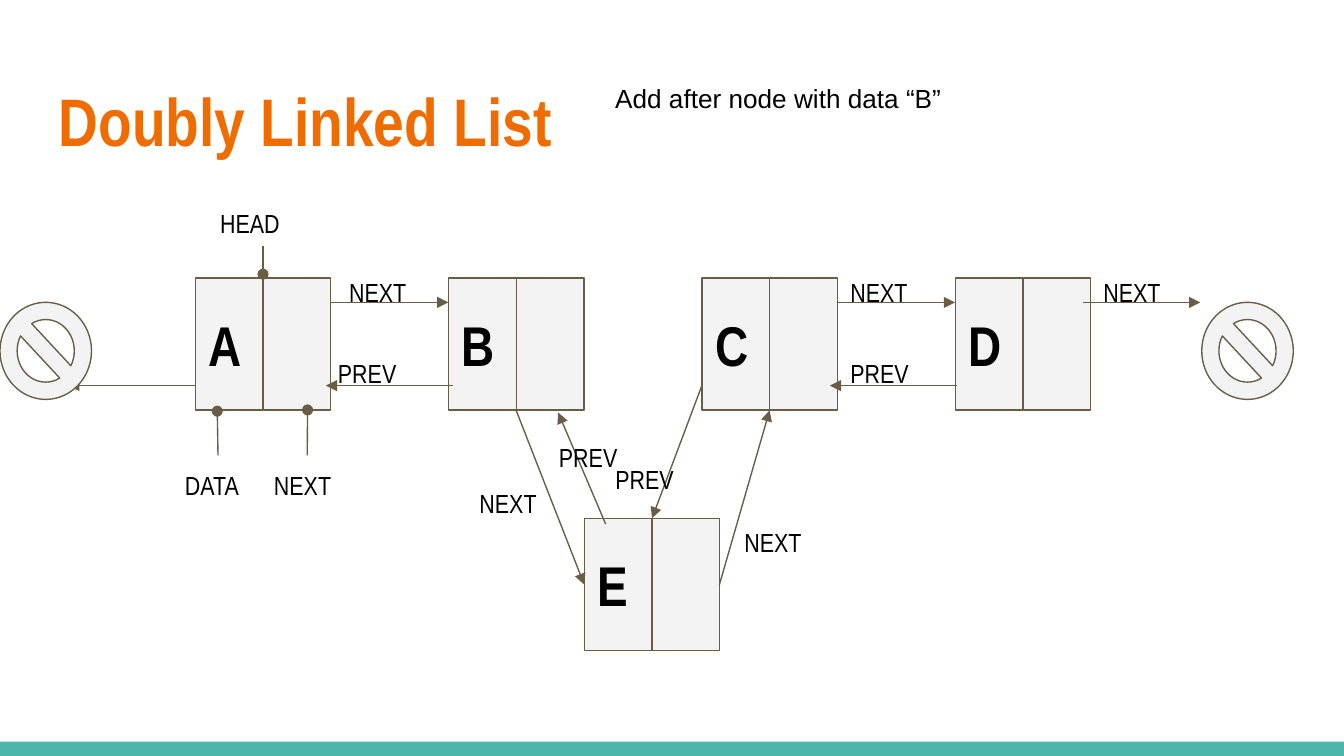
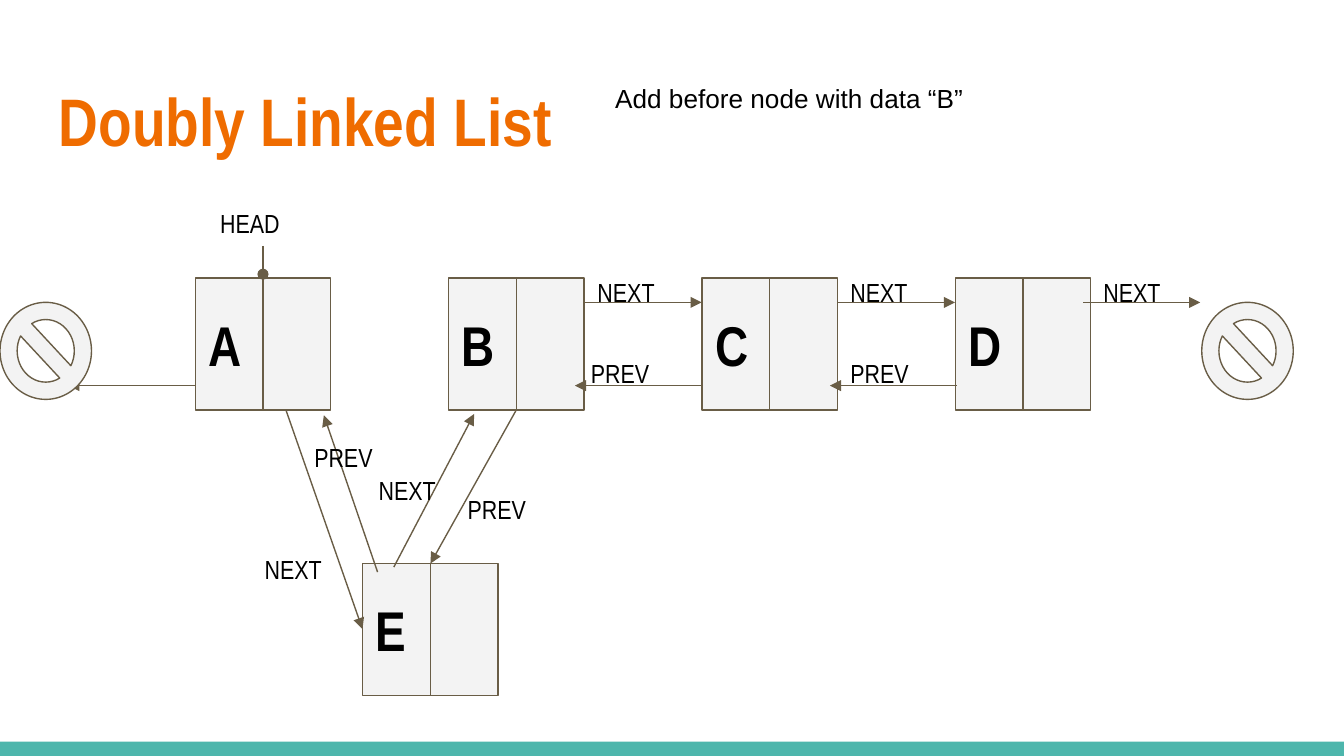
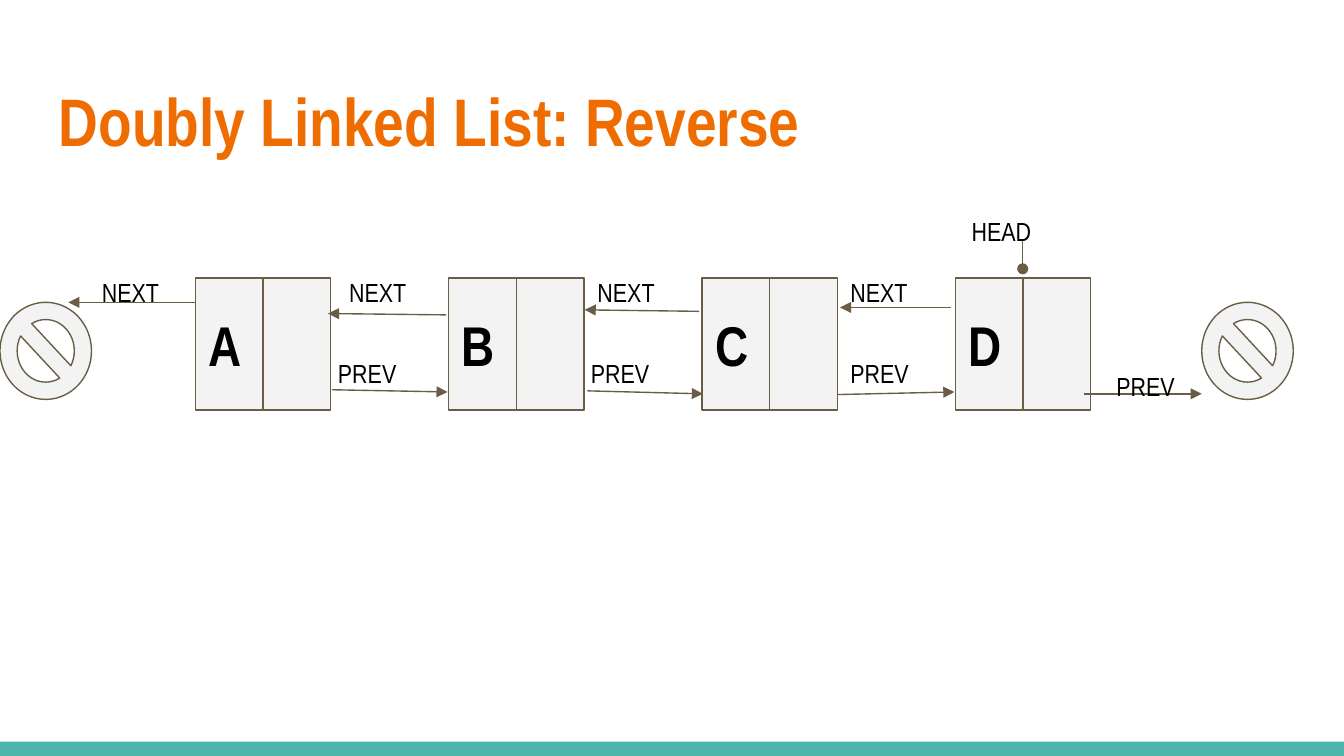
from lxml.etree import SubElement
from pptx import Presentation
from pptx.dml.color import RGBColor as RGB
from pptx.enum.shapes import MSO_CONNECTOR as Conn, MSO_SHAPE as Shape
from pptx.enum.text import MSO_ANCHOR as Anchor, PP_ALIGN as Align
from pptx.oxml.ns import qn
from pptx.util import Pt

# Shared look, lengths in points
HUES = {"title": "EF6C00", "band": "4DB6AC", "node": "F3F3F3",
        "line": "695D46", "text": "000000"}
NARROW, SANS = "Arial Narrow", "Arial"
WIDE, HIGH = 720, 405
LEFT, TOP, STEP = 104.6, 149, 135.7
NODE_W, NODE_H = 72.6, 70.8
NEXT_Y, PREV_Y = 162, 206.6

# Gap i lies to the right of node i: label and arrow starts
NEXT_AT, PREV_AT = [180, 313, 448.5], [174, 309.5, 448.5]
PREV_FROM = [242.6, 376, 512.6]
NEXT_LEN, PREV_LEN = 63, 68

# Parts common to the two insert slides
ENDS = [(580.3, NEXT_Y, 643, NEXT_Y), (104.5, PREV_Y, 36.6, PREV_Y)]
HEAD_PIN = (140.9, 131.8, 140.9, 146.9)
HEAD_TAG, END_TAG = ("HEAD", 110.9, 103.7), ("NEXT", 584, 141)

# Arrows are (x1, y1, x2, y2), tags are (text, x, y)
SLIDES = [
    {"title": "Doubly Linked List", "note": "Add after node with data “B”",
     "extra": (313, 277.8), "linked": [0, 2], "named": [0, 2],
     "arrows": ENDS + [(276.5, 219.8, 313, 313.2), (376, 206.6, 349.3, 277.7),
                       (385.4, 313.2, 412.3, 219.8), (324.5, 280.8, 299, 221)],
     "pins": [HEAD_PIN, (116.8, 244, 116.4, 220.3), (164.6, 244, 164.8, 219.6)],
     "tags": [HEAD_TAG, END_TAG, ("DATA", 92, 244), ("NEXT", 139.7, 244),
              ("NEXT", 249.8, 254), ("PREV", 322.6, 241),
              ("NEXT", 391.7, 275), ("PREV", 292.4, 229)]},
    {"title": "Doubly Linked List", "note": "Add before node with data “B”",
     "extra": (194.2, 301.9), "linked": [1, 2], "named": [1, 2],
     "arrows": ENDS + [(153.3, 220, 194.2, 337), (276.5, 219.8, 230.6, 301.9),
                       (211, 303.8, 254, 221.8), (202.3, 306.5, 173.5, 222.5)],
     "pins": [HEAD_PIN],
     "tags": [HEAD_TAG, END_TAG, ("NEXT", 134.7, 289.5), ("PREV", 243.4, 257),
              ("NEXT", 195.8, 247), ("PREV", 161.3, 229)]},
    {"title": "Doubly Linked List: Reverse", "note": None,
     "extra": None, "linked": [], "named": [0, 1, 2],
     "arrows": [(239, 168.7, 175.7, 168), (374.5, 166.8, 313.2, 166),
                (509.6, 164.7, 450, 164.7), (580.8, 211, 643.8, 211),
                (448.5, 211.4, 511.3, 210), (314.7, 209.4, 376.6, 211),
                (177.8, 208.8, 239.8, 210), (104.5, NEXT_Y, 36.6, NEXT_Y)],
     "pins": [(547.9, 128.2, 547.9, 144)],
     "tags": [("HEAD", 513.4, 108), ("PREV", 591, 191), ("NEXT", 47.5, 141)]},
]


def rgb(name):
    return RGB.from_string(HUES[name])


def write(shape, text, size=14, font=NARROW, hue="text", bold=False,
          anchor=Anchor.TOP):
    frame = shape.text_frame
    frame.word_wrap = True
    frame.vertical_anchor = anchor
    frame.margin_left = frame.margin_right = Pt(7.2)
    frame.margin_top = frame.margin_bottom = Pt(7.2)
    para = frame.paragraphs[0]
    para.alignment = Align.LEFT
    run = para.add_run()
    run.text = text
    run.font.size, run.font.name, run.font.bold = Pt(size), font, bold
    run.font.color.rgb = rgb(hue)


def label(slide, text, x, y, w=69, h=15, **style):
    box = slide.shapes.add_textbox(Pt(x), Pt(y), Pt(w), Pt(h))
    write(box, text, **style)


def block(slide, kind, x, y, w, h, fill="node", line="line"):
    shape = slide.shapes.add_shape(kind, Pt(x), Pt(y), Pt(w), Pt(h))
    shape.shadow.inherit = False
    shape.fill.solid()
    shape.fill.fore_color.rgb = rgb(fill)
    if line:
        shape.line.color.rgb = rgb(line)
        shape.line.width = Pt(0.75)
    else:
        shape.line.fill.background()
    return shape


def link(slide, ends, tip=None):
    wire = slide.shapes.add_connector(Conn.STRAIGHT, *map(Pt, ends))
    wire.line.color.rgb = rgb("line")
    wire.line.width = Pt(0.75)
    if tip:
        SubElement(wire.line._get_or_add_ln(), qn("a:tailEnd"),
                   type=tip, w="med", len="med")
    SubElement(wire._element.spPr, qn("a:effectLst"))


def node(slide, name, x, y):
    box = block(slide, Shape.RECTANGLE, x, y, NODE_W, NODE_H)
    write(box, name, size=30, bold=True, anchor=Anchor.MIDDLE)
    mid = x + NODE_W / 2
    link(slide, (mid, y, mid, y + NODE_H))


def null(slide, x):
    sign = block(slide, Shape.NO_SYMBOL, x, NEXT_Y, 49, 52)
    sign.adjustments[0] = 0.188


def draw(slide, data):
    # Band, title and note
    block(slide, Shape.RECTANGLE, 0, 397.4, WIDE, 7.6, fill="band", line=None)
    label(slide, data["title"], 24.5, 35.3, w=671, h=55.4,
          size=36, hue="title", bold=True)
    if data["note"]:
        label(slide, data["note"], 322.5, 36.7, w=249, h=29.5, font=SANS)

    # Nodes
    for i, name in enumerate("ABCD"):
        node(slide, name, LEFT + i * STEP, TOP)
    if data["extra"]:
        node(slide, "E", *data["extra"])

    # Links, then the null signs over their ends
    for i in data["linked"]:
        start, back = LEFT + i * STEP + NODE_W, PREV_FROM[i]
        link(slide, (start, NEXT_Y, start + NEXT_LEN, NEXT_Y), "triangle")
        link(slide, (back, PREV_Y, back - PREV_LEN, PREV_Y), "triangle")
    for ends in data["arrows"]:
        link(slide, ends, "triangle")
    for ends in data["pins"]:
        link(slide, ends, "oval")
    for x in (0, 643.8):
        null(slide, x)

    # Labels
    for i in data["named"]:
        label(slide, "NEXT", NEXT_AT[i], 141)
        label(slide, "PREV", PREV_AT[i], 184.5)
    for tag in data["tags"]:
        label(slide, *tag)


def main():
    deck = Presentation()
    deck.slide_width, deck.slide_height = Pt(WIDE), Pt(HIGH)
    for data in SLIDES:
        draw(deck.slides.add_slide(deck.slide_layouts[6]), data)
    deck.save("out.pptx")


if __name__ == "__main__":
    main()
